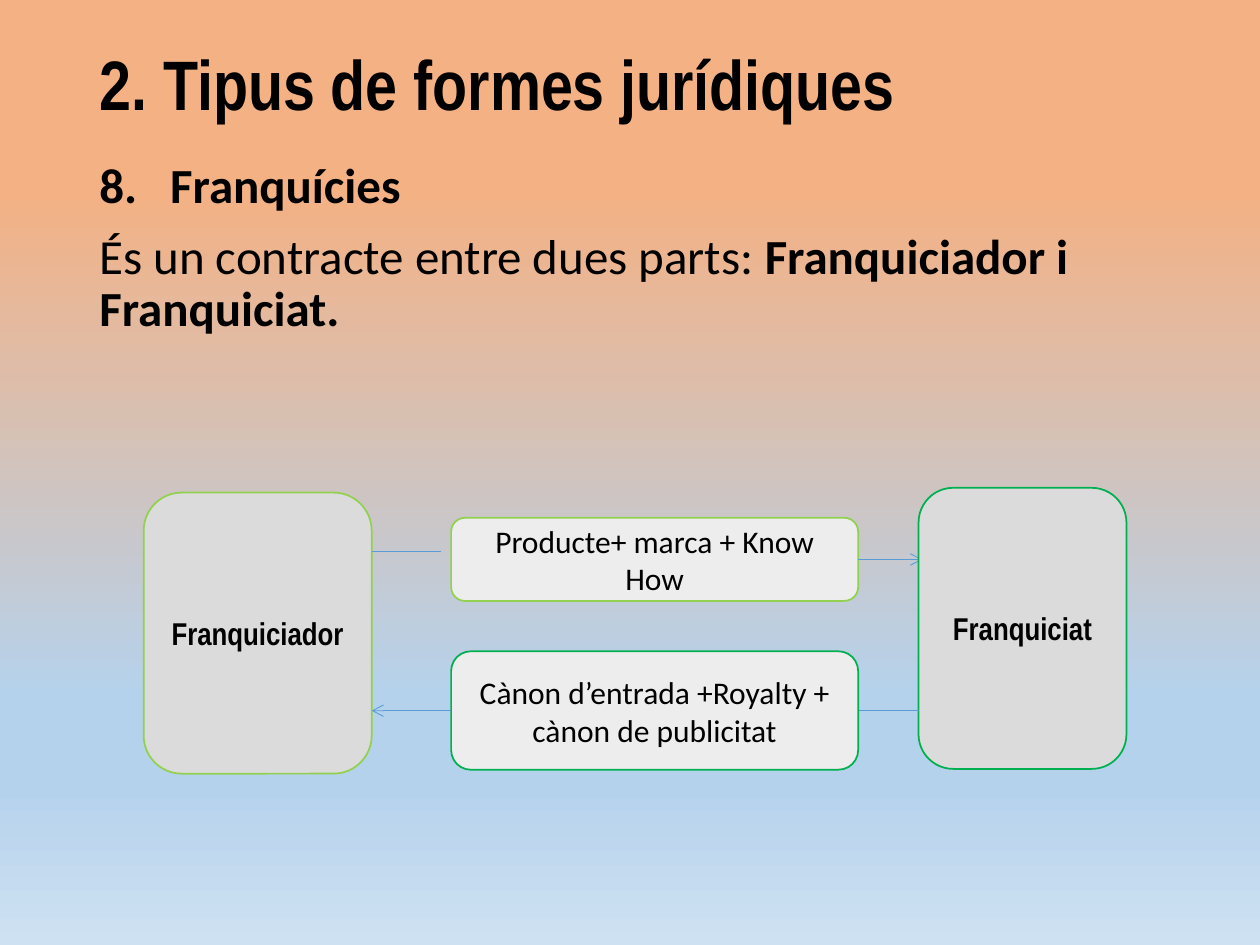
from dataclasses import dataclass

from lxml.etree import SubElement
from pptx import Presentation
from pptx.dml.color import RGBColor
from pptx.enum.dml import MSO_THEME_COLOR
from pptx.enum.shapes import MSO_CONNECTOR, MSO_SHAPE
from pptx.enum.text import MSO_ANCHOR, PP_ALIGN
from pptx.oxml.ns import qn
from pptx.slide import Slide
from pptx.text.text import TextFrame, _Paragraph as Paragraph, _Run as Run
from pptx.util import Pt


@dataclass(frozen=True)
class Theme:
    text: str = "000000"
    party_fill: str = "DBDBDB"
    exchange_fill: str = "EDEDED"
    franchisor_line: str = "92D050"
    franchisee_line: str = "00B050"
    flow_line: str = "5B9BD5"
    background: tuple = ((20, "F4B183"), (74, "B5D2EC"), (83, "B5D2EC"), (100, "CEE1F2"))
    heading_font: str = "Arial Narrow"
    body_font: str = "Calibri"
    title_size: float = 40
    body_size: float = 28
    label_size: float = 18


THEME = Theme()


@dataclass(frozen=True)
class Box:
    text: str
    left: float
    top: float
    width: float
    height: float
    line: str
    is_party: bool = False


@dataclass(frozen=True)
class Flow:
    start: float
    end: float
    y: float
    has_arrow: bool = False


FRANCHISOR_RIGHT = 212.4
EXCHANGE_LEFT, EXCHANGE_WIDTH = 257.8, 232.6
EXCHANGE_RIGHT = EXCHANGE_LEFT + EXCHANGE_WIDTH
FRANCHISEE_LEFT = 524.9
PARTY_HEIGHT = 160.6
PAYMENT_Y = 406.1

# Listed from back to front.
DIAGRAM = (
    Box("Franquiciador", 82.1, 281.5, 130.3, PARTY_HEIGHT, THEME.franchisor_line, True),
    Flow(FRANCHISOR_RIGHT, 252, 315.4),
    Box("Producte+ marca + Know How", EXCHANGE_LEFT, 295.9, EXCHANGE_WIDTH, 47.5,
        THEME.franchisor_line),
    Flow(EXCHANGE_RIGHT, 527, 319.7, True),
    Box("Franquiciat", FRANCHISEE_LEFT, 278.8, 118.8, PARTY_HEIGHT,
        THEME.franchisee_line, True),
    Flow(FRANCHISEE_LEFT, EXCHANGE_RIGHT, PAYMENT_Y),
    Box("Cànon d’entrada +Royalty + cànon de publicitat", EXCHANGE_LEFT, 372.2,
        EXCHANGE_WIDTH, 67.7, THEME.franchisee_line),
    Flow(EXCHANGE_LEFT, FRANCHISOR_RIGHT, PAYMENT_Y, True),
)


def color(value: str) -> RGBColor:
    return RGBColor.from_string(value)


def format_run(run: Run, font_name: str, size: float, bold: bool) -> None:
    run.font.name = font_name
    run.font.size = Pt(size)
    run.font.bold = bold
    run.font.color.rgb = color(THEME.text)


def paint_background(slide: Slide) -> None:
    fill = slide.background.fill
    fill.gradient()
    fill.gradient_angle = 270
    stops = next(slide.element.iter(qn("a:gsLst")))
    for stop in list(stops):
        stops.remove(stop)
    for position, value in THEME.background:
        stop = SubElement(stops, qn("a:gs"), pos=str(position * 1000))
        SubElement(stop, qn("a:srgbClr"), val=value)


def add_text_frame(slide: Slide, top: float, height: float) -> TextFrame:
    text_box = slide.shapes.add_textbox(Pt(49.7), Pt(top), Pt(620.6), Pt(height))
    text_box.text_frame.word_wrap = True
    return text_box.text_frame


def number_paragraph(paragraph: Paragraph, start: int, indent: float) -> None:
    properties = paragraph._p.get_or_add_pPr()
    properties.set("marL", str(Pt(indent)))
    properties.set("indent", str(-Pt(indent)))
    SubElement(properties, qn("a:buFont"), typeface="+mj-lt")
    SubElement(properties, qn("a:buAutoNum"), type="arabicPeriod", startAt=str(start))


def add_title(slide: Slide) -> None:
    frame = add_text_frame(slide, -2.2, 104.4)
    frame.vertical_anchor = MSO_ANCHOR.MIDDLE
    frame.text = "2. Tipus de formes jurídiques"
    paragraph = frame.paragraphs[0]
    paragraph.line_spacing = 0.9
    format_run(paragraph.runs[0], THEME.heading_font, THEME.title_size, True)


def add_body(slide: Slide) -> None:
    frame = add_text_frame(slide, 88.6, 398.2)
    frame.text = "Franquícies\nÉs un contracte entre dues parts: "
    heading, definition = frame.paragraphs
    definition.add_run().text = "Franquiciador i Franquiciat."
    for paragraph in frame.paragraphs:
        paragraph.line_spacing = 0.9
        paragraph.space_before = Pt(10)
        for run in paragraph.runs:
            format_run(run, THEME.body_font, THEME.body_size, True)
    definition.runs[0].font.bold = False
    number_paragraph(heading, 8, 40.5)


def add_box(slide: Slide, box: Box) -> None:
    shape = slide.shapes.add_shape(MSO_SHAPE.ROUNDED_RECTANGLE, Pt(box.left), Pt(box.top),
                                   Pt(box.width), Pt(box.height))
    shape.shadow.inherit = False
    shape.fill.solid()
    shape.fill.fore_color.rgb = color(THEME.party_fill if box.is_party else THEME.exchange_fill)
    shape.line.color.rgb = color(box.line)
    shape.line.width = Pt(1)
    frame = shape.text_frame
    frame.word_wrap = True
    frame.vertical_anchor = MSO_ANCHOR.MIDDLE
    frame.text = box.text
    paragraph = frame.paragraphs[0]
    paragraph.alignment = PP_ALIGN.CENTER
    font_name = THEME.heading_font if box.is_party else THEME.body_font
    format_run(paragraph.runs[0], font_name, THEME.label_size, box.is_party)


def add_flow(slide: Slide, flow: Flow) -> None:
    connector = slide.shapes.add_connector(MSO_CONNECTOR.STRAIGHT, Pt(flow.start), Pt(flow.y),
                                           Pt(flow.end), Pt(flow.y))
    connector.line.color.rgb = color(THEME.flow_line)
    connector.line.width = Pt(0.5)
    properties = connector.element.spPr
    if flow.has_arrow:
        SubElement(properties.find(qn("a:ln")), qn("a:tailEnd"), type="arrow")
    SubElement(properties, qn("a:effectLst"))


def main() -> None:
    presentation = Presentation()
    presentation.slide_width = Pt(720)
    presentation.slide_height = Pt(540)
    slide = presentation.slides.add_slide(presentation.slide_layouts[6])
    paint_background(slide)
    add_body(slide)
    for item in DIAGRAM:
        if isinstance(item, Box):
            add_box(slide, item)
        else:
            add_flow(slide, item)
    add_title(slide)
    presentation.save("out.pptx")


if __name__ == "__main__":
    main()
